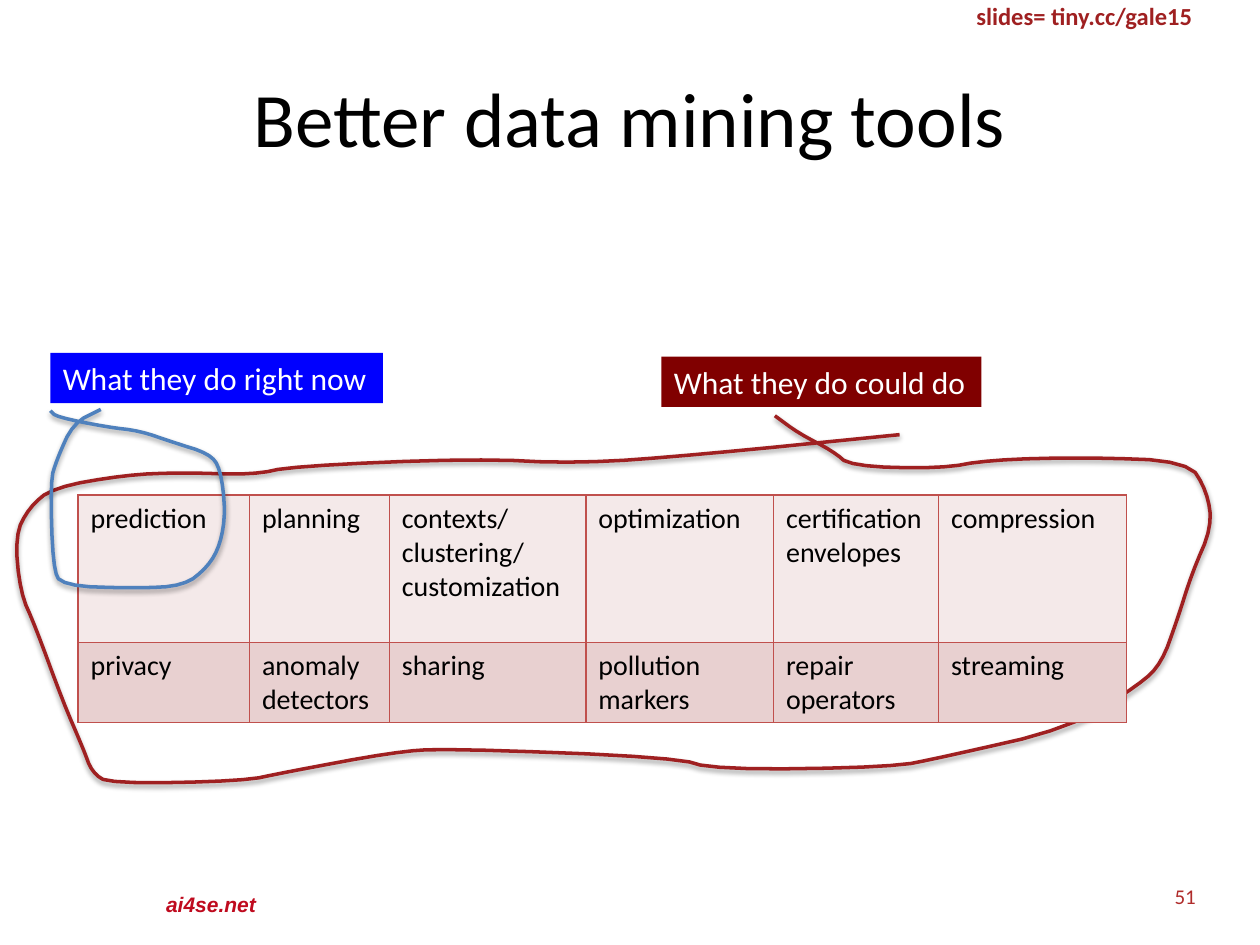
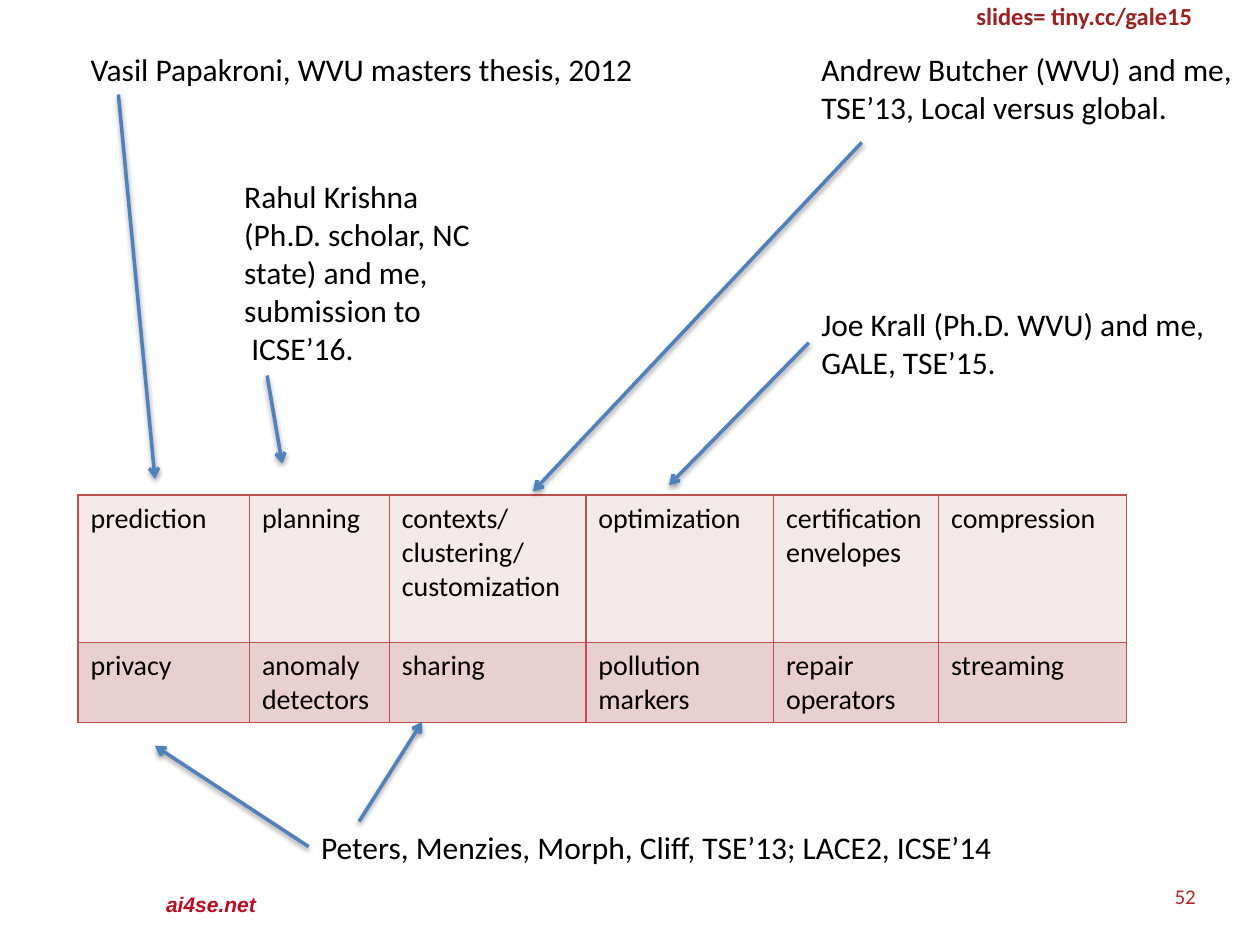
from collections import namedtuple
from itertools import pairwise

from lxml import etree
from pptx import Presentation
from pptx.dml.color import RGBColor
from pptx.enum.shapes import MSO_CONNECTOR, MSO_SHAPE
from pptx.enum.text import MSO_ANCHOR, PP_ALIGN
from pptx.oxml import parse_xml
from pptx.oxml.ns import nsdecls, qn
from pptx.util import Inches, Pt

STRAIGHT = MSO_CONNECTOR.STRAIGHT
RECT = MSO_SHAPE.RECTANGLE
MIDDLE, TOP = MSO_ANCHOR.MIDDLE, MSO_ANCHOR.TOP
LEFT, CENTER, RIGHT = PP_ALIGN.LEFT, PP_ALIGN.CENTER, PP_ALIGN.RIGHT

BLACK = RGBColor(0x00, 0x00, 0x00)
WHITE = RGBColor(0xFF, 0xFF, 0xFF)
DARK_RED = RGBColor(0x9F, 0x20, 0x21)
NUMBER_RED = RGBColor(0xB0, 0x2C, 0x2B)
SITE_RED = RGBColor(0xBF, 0x0A, 0x1E)
MAROON = RGBColor(0x80, 0x00, 0x00)
PURE_BLUE = RGBColor(0x00, 0x00, 0xFF)
STEEL_BLUE = RGBColor(0x4F, 0x81, 0xBD)
BORDER_RED = RGBColor(0xC0, 0x50, 0x4D)
PALE_PINK = RGBColor(0xF4, 0xE9, 0xE9)
PINK = RGBColor(0xE8, 0xD0, 0xD0)

FIRST_NUMBER = 51
LINE_HEIGHT = 0.3
TEXT_MARGINS = 0.1
TABLE_LEFT, TABLE_TOP = 0.62, 3.93
COL_WIDTHS = [1.36, 1.11, 1.56, 1.49, 1.31, 1.49]

TaskRow = namedtuple("TaskRow", "height fill tasks")
TASK_ROWS = [
    TaskRow(1.17, PALE_PINK, ["prediction", "planning", "contexts/clustering/customization",
                              "optimization", "certification envelopes", "compression"]),
    TaskRow(0.63, PINK, ["privacy", "anomaly detectors", "sharing",
                         "pollution markers", "repair operators", "streaming"]),
]

Reference = namedtuple("Reference", "left top width lines text arrows wrap", defaults=[False])
REFERENCES = [
    Reference(0.62, 0.35, 4.58, 1, "Vasil Papakroni, WVU masters thesis, 2012",
              arrows=[((0.94, 0.75), (1.23, 3.8))]),
    Reference(1.84, 1.36, 2.24, 5,
              "Rahul Krishna (Ph.D. scholar, NC state) and me, submission to\v ICSE’16.",
              arrows=[((2.12, 2.98), (2.24, 3.68))], wrap=True),
    Reference(2.45, 6.52, 5.62, 1, "Peters, Menzies, Morph, Cliff, TSE’13; LACE2, ICSE’14",
              arrows=[((2.45, 6.72), (1.23, 5.92)), ((2.85, 6.52), (3.35, 5.73))]),
    Reference(6.42, 2.37, 3.29, 2, "Joe Krall (Ph.D. WVU) and me,\nGALE, TSE’15.",
              arrows=[((6.42, 2.72), (5.31, 3.85))]),
    Reference(6.42, 0.35, 3.5, 2, "Andrew Butcher (WVU) and me,\nTSE’13, Local versus global.",
              arrows=[((6.84, 1.13), (4.23, 3.9))]),
]

COULD_DO_SIDES = {
    "top": [(7.14, 3.45), (5.54, 3.61), (4.6, 3.68), (3.75, 3.64), (2.33, 3.7),
            (2, 3.77), (1.45, 3.75), (0.99, 3.77), (0.42, 3.87)],
    "left": [(0.23, 4.03), (0.12, 4.25), (0.16, 4.7), (0.28, 4.97), (0.5, 5.57),
             (0.66, 5.94), (0.73, 6.13)],
    "bottom": [(0.87, 6.22), (1.93, 6.2), (2.26, 6.13), (3.12, 5.97), (3.54, 5.94),
               (5.34, 6.01), (5.69, 6.11), (7.08, 6.09), (7.48, 6.01), (8.49, 5.78)],
    "right": [(9.05, 5.43), (9.22, 5.26), (9.34, 4.93), (9.46, 4.55), (9.62, 4.18),
              (9.58, 3.9), (9.43, 3.66)],
    "tail": [(8.61, 3.63), (7.85, 3.65), (7.46, 3.72), (6.75, 3.7), (6.61, 3.58),
             (6.34, 3.44), (6.15, 3.3)],
}
RIGHT_NOW_SIDES = {
    "left": [(0.8, 3.25), (0.58, 3.36), (0.45, 3.65), (0.4, 3.82), (0.42, 4.5)],
    "bottom": [(0.49, 4.65), (1.08, 4.67), (1.46, 4.65), (1.65, 4.5)],
    "right": [(1.75, 4.32), (1.79, 4.06), (1.75, 3.72), (1.66, 3.6)],
    "top": [(1.37, 3.51), (1.11, 3.42), (0.85, 3.39), (0.45, 3.31), (0.4, 3.26)],
}


def write_text(tf, text, size=18, color=BLACK, font="Calibri", bold=False,
               italic=False, align=LEFT, anchor=TOP, wrap=True):
    """Fill a text frame, one paragraph for each line of text."""
    tf.text = text
    tf.word_wrap = wrap
    tf.vertical_anchor = anchor
    for p in tf.paragraphs:
        p.alignment = align
        for r in p.runs:
            r.font.name, r.font.size = font, Pt(size)
            r.font.bold, r.font.italic = bold, italic
            r.font.color.rgb = color


def add_text(s, x, y, w, h, text, **style):
    """Add a text box."""
    tb = s.shapes.add_textbox(Inches(x), Inches(y), Inches(w), Inches(h))
    write_text(tb.text_frame, text, **style)


def add_label(s, x, y, w, text, fill):
    """Add a filled one-line label with white text."""
    height = LINE_HEIGHT + TEXT_MARGINS
    sp = s.shapes.add_shape(RECT, Inches(x), Inches(y), Inches(w), Inches(height))
    sp.shadow.inherit = False
    sp.fill.solid()
    sp.fill.fore_color.rgb = fill
    sp.line.fill.background()
    write_text(sp.text_frame, text, color=WHITE, wrap=False)


def style_stroke(sp, color):
    """Give a line its colour, width and a soft shadow below it."""
    sp.line.color.rgb = color
    sp.line.width = Pt(2)
    sp._element.spPr.append(parse_xml(
        f'<a:effectLst {nsdecls("a")}>'
        f'<a:outerShdw blurRad="{Pt(3.1)}" dist="{Pt(1.6)}" dir="5400000" rotWithShape="0">'
        '<a:srgbClr val="000000"><a:alpha val="38000"/></a:srgbClr>'
        '</a:outerShdw></a:effectLst>'))


def between(start, end, share):
    """Return the point that lies a share of the way from start to end."""
    return tuple(a + (b - a) * share for a, b in zip(start, end))


def round_corners(points, passes=2):
    """Smooth an open line: each pass cuts every corner at a quarter of its sides."""
    for _ in range(passes):
        cuts = [between(a, b, share) for a, b in pairwise(points) for share in (0.25, 0.75)]
        points = [points[0], *cuts, points[-1]]
    return points


def add_loop(s, sides, color):
    """Draw an open, rounded loop along its sides."""
    corners = [point for side in sides.values() for point in side]
    start, *rest = [(Inches(x), Inches(y)) for x, y in round_corners(corners)]
    fb = s.shapes.build_freeform(*start)
    fb.add_line_segments(rest, close=False)
    sp = fb.convert_to_shape()
    sp.fill.background()
    style_stroke(sp, color)


def add_arrow(s, start, end):
    """Draw an arrow that points at its end."""
    cn = s.shapes.add_connector(STRAIGHT, *map(Inches, (*start, *end)))
    style_stroke(cn, STEEL_BLUE)
    ln = cn._element.spPr.find(qn("a:ln"))
    etree.SubElement(ln, qn("a:tailEnd"), type="arrow")


def add_reference(s, ref):
    """Add a publication and its arrows to the tasks it covers."""
    height = ref.lines * LINE_HEIGHT + TEXT_MARGINS
    add_text(s, ref.left, ref.top, ref.width, height, ref.text, wrap=ref.wrap)
    for start, end in ref.arrows:
        add_arrow(s, start, end)


def add_borders(cell):
    """Outline a table cell."""
    tc_pr = cell._tc.get_or_add_tcPr()
    for side in "LRTB":
        tc_pr.append(parse_xml(
            f'<a:ln{side} {nsdecls("a")} w="{Pt(1)}"><a:solidFill>'
            f'<a:srgbClr val="{BORDER_RED}"/></a:solidFill></a:ln{side}>'))


def add_task_table(s):
    """Add the table of data mining tasks."""
    width, height = sum(COL_WIDTHS), sum(row.height for row in TASK_ROWS)
    table = s.shapes.add_table(
        len(TASK_ROWS), len(COL_WIDTHS), Inches(TABLE_LEFT), Inches(TABLE_TOP),
        Inches(width), Inches(height)).table
    table.first_row = table.horz_banding = False
    for col, col_width in zip(table.columns, COL_WIDTHS):
        col.width = Inches(col_width)
    for row, task_row in zip(table.rows, TASK_ROWS):
        row.height = Inches(task_row.height)
        for cell, task in zip(row.cells, task_row.tasks):
            add_borders(cell)
            cell.fill.solid()
            cell.fill.fore_color.rgb = task_row.fill
            write_text(cell.text_frame, task, size=16)


def add_frame(s, number):
    """Add the header and footer that all slides share."""
    add_text(s, 7.65, -0.04, 2.37, 0.34, "slides= tiny.cc/gale15",
             size=14, color=DARK_RED, bold=True)
    add_text(s, 7.26, 6.91, 2.33, 0.4, str(number), size=12, color=NUMBER_RED,
             align=RIGHT, anchor=MIDDLE)
    add_text(s, 1.22, 7.03, 0.96, 0.3, "ai4se.net", size=12, color=SITE_RED,
             font="Arial", bold=True, italic=True, wrap=False)


def fill_tools_slide(s):
    """Circle what the tools do now and what they could do."""
    add_text(s, 0.5, 0.3, 9, 1.25, "Better data mining tools", size=44,
             align=CENTER, anchor=MIDDLE)
    add_loop(s, COULD_DO_SIDES, DARK_RED)
    add_label(s, 5.25, 2.83, 2.54, "What they do could do", MAROON)
    add_task_table(s)
    add_loop(s, RIGHT_NOW_SIDES, STEEL_BLUE)
    add_label(s, 0.4, 2.8, 2.64, "What they do right now", PURE_BLUE)


def fill_references_slide(s):
    """Tie publications to the tasks they cover."""
    add_task_table(s)
    for ref in REFERENCES:
        add_reference(s, ref)


def main():
    """Build and save the presentation."""
    prs = Presentation()
    prs.slide_width, prs.slide_height = Inches(10), Inches(7.5)
    blank = prs.slide_layouts[6]
    for number, fill_slide in enumerate([fill_tools_slide, fill_references_slide], FIRST_NUMBER):
        s = prs.slides.add_slide(blank)
        add_frame(s, number)
        fill_slide(s)
    prs.save("out.pptx")


if __name__ == "__main__":
    main()
